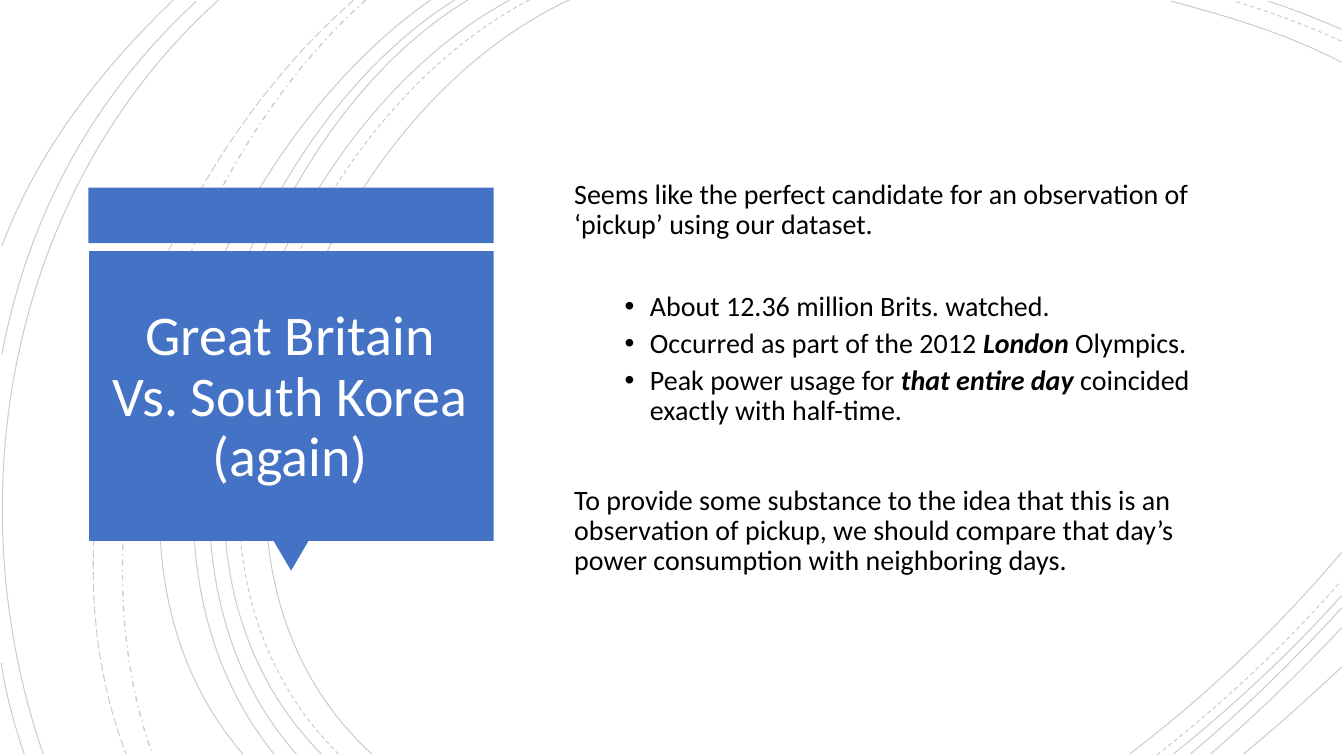
from dataclasses import dataclass

from lxml.etree import SubElement
from pptx import Presentation
from pptx.dml.color import RGBColor
from pptx.enum.dml import MSO_LINE
from pptx.enum.shapes import MSO_SHAPE
from pptx.enum.text import MSO_ANCHOR, PP_ALIGN
from pptx.oxml.ns import qn
from pptx.util import Cm, Pt


@dataclass(frozen=True)
class Theme:
    font: str = "Calibri"
    accent: RGBColor = RGBColor(0x44, 0x72, 0xC4)
    title_color: RGBColor = RGBColor(0xFF, 0xFF, 0xFF)
    ink: RGBColor = RGBColor(0, 0, 0)
    arc_opacity: int = 20
    title_size: int = 40
    body_size: int = 20
    line_spacing: float = 0.9


SOLID, DASH = MSO_LINE.SOLID, MSO_LINE.DASH
ARC_BOTTOM = 19

# Long left arcs: top x, first control, second control, bottom x, dash, points
LONG_ARCS = [
    (14.35, (8, 2.92), (3.63, 13.72), 9.37, SOLID, 0.75),
    (13.34, (7.24, 3.18), (3.12, 13.64), 8.53, DASH, 0.75),
    (12.85, (6.86, 3.23), (2.79, 13.64), 8.1, SOLID, 0.75),
    (11.79, (6.2, 3.38), (2.79, 13.74), 7.47, SOLID, 0.75),
    (11.46, (5.87, 3.51), (2.46, 13.54), 6.91, SOLID, 0.75),
    (10.85, (5.51, 3.73), (1.35, 13.44), 6.12, SOLID, 0.75),
    (9.22, (4.47, 4.22), (1.65, 12.93), 3.84, MSO_LINE.DASH_DOT, 1),
    (8.92, (3.99, 4.29), (0.74, 12.67), 3.18, MSO_LINE.LONG_DASH, 0.75),
    (5.51, (0.28, 4.7), (-1.17, 12.45), 1.09, SOLID, 0.75),
]

# Short arcs at the slide edges: four curve points and dash
EDGE_ARCS = [
    ((4.95, 0.03), (2.34, 2.44), (0.71, 5.44), (0.05, 8.92), SOLID),
    ((0.03, 16.71), (0.15, 17.5), (0.36, 18.26), (0.61, 19), SOLID),
    ((4.37, 0), (2.54, 1.75), (0.94, 3.81), (0.05, 6.2), SOLID),
    ((33.81, 1.57), (32.46, 0.86), (30.94, 0.41), (29.51, 0.03), SOLID),
    ((33.81, 1.04), (32.94, 0.64), (32, 0.3), (31.12, 0.03), DASH),
    ((33.81, 0.74), (33.2, 0.48), (32.59, 0.23), (31.95, 0.03), SOLID),
    ((28.47, 19), (30.4, 17.53), (32.23, 15.8), (33.81, 13.92), SOLID),
    ((29.16, 19.02), (30.81, 17.73), (32.39, 16.26), (33.78, 14.66), DASH),
    ((29.57, 19), (31.06, 17.81), (32.51, 16.46), (33.81, 15.01), SOLID),
    ((30, 19), (31.34, 17.88), (32.61, 16.64), (33.81, 15.32), SOLID),
    ((30.51, 19), (31.65, 18.01), (32.77, 16.94), (33.81, 15.82), SOLID),
    ((31.34, 19), (32.18, 18.31), (32.99, 17.58), (33.81, 16.81), SOLID),
]


def write_text(paragraph, *texts, theme, size, color, align=PP_ALIGN.LEFT,
               before=0, bullet=False):
    """Fill a paragraph; every second text is bold italic."""
    paragraph.alignment = align
    paragraph.line_spacing = theme.line_spacing
    paragraph.space_before = Pt(before)
    if bullet:
        properties = paragraph._p.get_or_add_pPr()
        properties.set("marL", str(Cm(1.91)))
        properties.set("indent", str(Cm(-0.64)))
        SubElement(properties, qn("a:buFont")).set("typeface", "Arial")
        SubElement(properties, qn("a:buChar")).set("char", "•")
    for index, text in enumerate(texts):
        run = paragraph.add_run()
        run.text = text
        run.font.name = theme.font
        run.font.size = Pt(size)
        run.font.color.rgb = color
        if index % 2:
            run.font.bold = run.font.italic = True


class SlideBuilder:
    def __init__(self, slide, theme):
        self.slide = slide
        self.theme = theme

    def arc(self, start, control_1, control_2, end, dash, width=0.75):
        points = [(Cm(x), Cm(y)) for x, y in (start, control_1, control_2, end)]
        builder = self.slide.shapes.build_freeform(*points[0])
        builder.add_line_segments(points[1:], close=False)
        shape = builder.convert_to_shape()
        shape.shadow.inherit = False
        shape.fill.background()
        shape.line.color.rgb = self.theme.ink
        shape.line.width = Pt(width)
        shape.line.dash_style = dash
        color = shape.line._ln.find(".//" + qn("a:srgbClr"))
        SubElement(color, qn("a:alpha")).set("val", str(self.theme.arc_opacity * 1000))
        # Turn the three straight segments into one cubic curve
        segments = list(shape._element.iter(qn("a:lnTo")))
        curve = SubElement(segments[0].getparent(), qn("a:cubicBezTo"))
        for segment in segments:
            curve.append(segment[0])
            segment.getparent().remove(segment)

    def block(self, kind, left, top, width, height, rotation=0):
        shape = self.slide.shapes.add_shape(
            kind, Cm(left), Cm(top), Cm(width), Cm(height))
        shape.shadow.inherit = False
        shape.fill.solid()
        shape.fill.fore_color.rgb = self.theme.accent
        shape.line.fill.background()
        shape.rotation = rotation

    def text_box(self, left, top, width, height, paragraphs, **style):
        frame = self.slide.shapes.add_textbox(
            Cm(left), Cm(top), Cm(width), Cm(height)).text_frame
        frame.word_wrap = True
        frame.vertical_anchor = MSO_ANCHOR.MIDDLE
        for index, (texts, options) in enumerate(paragraphs):
            paragraph = frame.add_paragraph() if index else frame.paragraphs[0]
            write_text(paragraph, *texts, theme=self.theme, **style, **options)


def main():
    presentation = Presentation()
    presentation.slide_width, presentation.slide_height = Cm(33.87), Cm(19.05)
    theme = Theme()
    builder = SlideBuilder(
        presentation.slides.add_slide(presentation.slide_layouts[6]), theme)

    # Background arcs
    for top_x, control_1, control_2, bottom_x, dash, width in LONG_ARCS:
        builder.arc((top_x, 0), control_1, control_2, (bottom_x, ARC_BOTTOM), dash, width)
    for arc in EDGE_ARCS:
        builder.arc(*arc)

    # Title banner with its pointer
    builder.block(MSO_SHAPE.RECTANGLE, 2.23, 4.73, 10.21, 1.4)
    builder.block(MSO_SHAPE.ISOSCELES_TRIANGLE, 6.89, 13.62, 0.89, 0.76, rotation=180)
    builder.block(MSO_SHAPE.RECTANGLE, 2.25, 6.33, 10.19, 7.3)
    builder.text_box(
        2.52, 6.71, 9.58, 6.65,
        [(["Great Britain Vs. South Korea (again)"], {"align": PP_ALIGN.CENTER})],
        size=theme.title_size, color=theme.title_color)

    # Body text
    builder.text_box(
        14.22, 2.24, 17.45, 14.58,
        [
            (["Seems like the perfect candidate for an observation of "
              "‘pickup’ using our dataset."], {}),
            (["About 12.36 million Brits. watched."], {"before": 37, "bullet": True}),
            (["Occurred as part of the 2012 ", "London", " Olympics."],
             {"before": 5, "bullet": True}),
            (["Peak power usage for ", "that entire day ",
              "coincided exactly with half-time."], {"before": 5, "bullet": True}),
            (["To provide some substance to the idea that this is an observation "
              "of pickup, we should compare that day’s power consumption with "
              "neighboring days."], {"before": 42}),
        ],
        size=theme.body_size, color=theme.ink)

    presentation.save("out.pptx")


if __name__ == "__main__":
    main()
